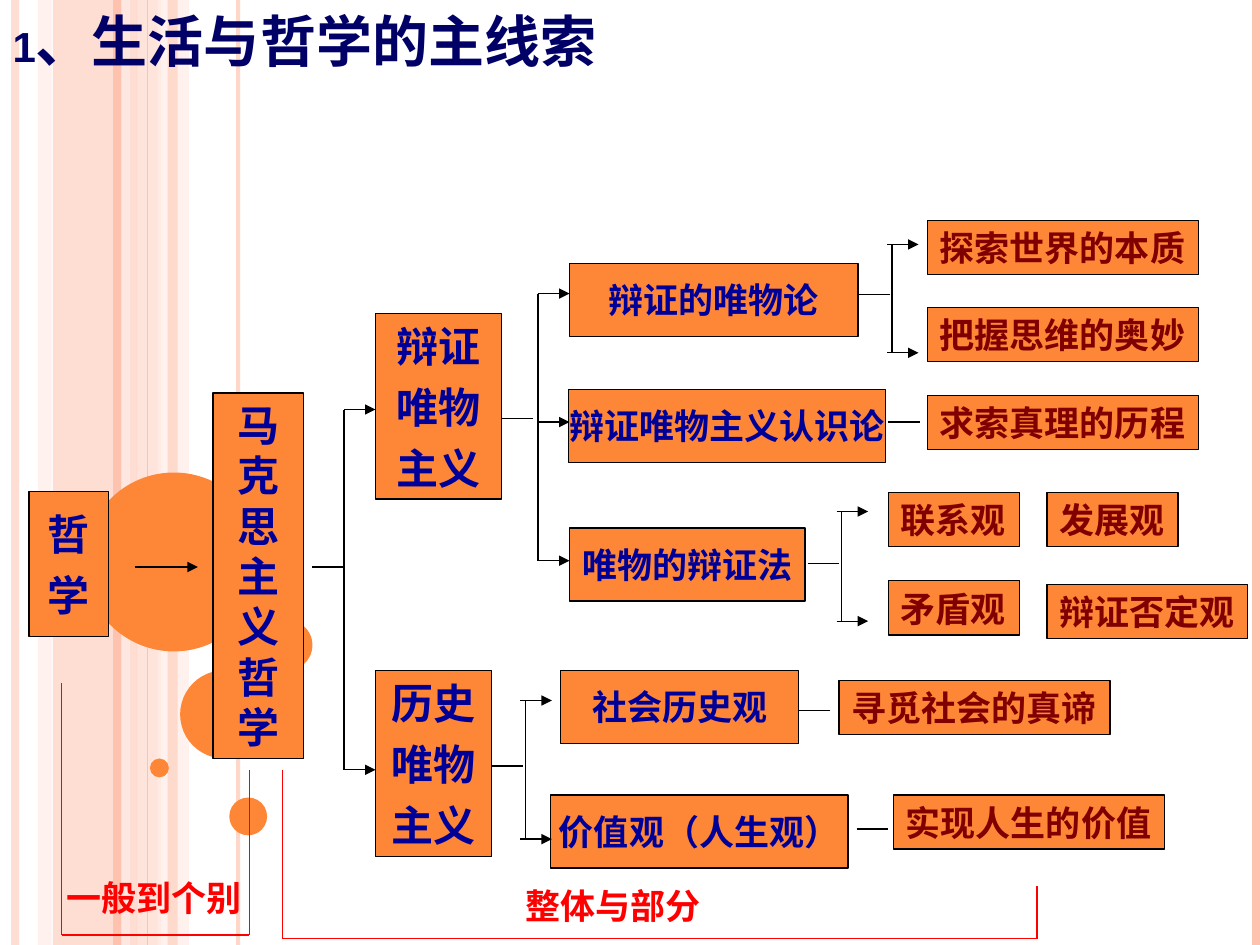
from dataclasses import dataclass

from lxml import etree
from pptx import Presentation
from pptx.dml.color import RGBColor
from pptx.enum.shapes import MSO_CONNECTOR, MSO_SHAPE
from pptx.enum.text import MSO_ANCHOR, MSO_AUTO_SIZE, PP_ALIGN
from pptx.oxml.ns import qn
from pptx.util import Inches, Pt

RECT, OVAL = MSO_SHAPE.RECTANGLE, MSO_SHAPE.OVAL
STRAIGHT = MSO_CONNECTOR.STRAIGHT
TOP, MIDDLE = MSO_ANCHOR.TOP, MSO_ANCHOR.MIDDLE
LEFT, CENTER = PP_ALIGN.LEFT, PP_ALIGN.CENTER
NO_FIT = MSO_AUTO_SIZE.NONE

SLIDE_W, SLIDE_H = 10, 7.5
LINK = 0.25


@dataclass(frozen=True)
class Theme:
    font: str = "Arial"
    cjk: str = "Noto Sans CJK SC"
    box: str = "FE8637"
    stripe: str = "FEC3AE"
    pale: str = "FFD9CE"
    faint: str = "FFEDE8"
    ink: str = "000000"
    title: str = "000066"
    concept: str = "000099"
    topic: str = "800000"
    note: str = "FF0000"
    title_pt: int = 32
    large_pt: int = 24
    body_pt: int = 20
    line_pt: float = 0.75


T = Theme()


@dataclass(frozen=True)
class Style:
    font: str
    color: str
    size: int
    align: PP_ALIGN = CENTER
    anchor: MSO_ANCHOR = MIDDLE
    before: int = 0
    wrap: bool = False


BRANCH = Style(T.cjk, T.concept, T.large_pt, before=6)
COLUMN = Style(T.cjk, T.concept, T.large_pt, anchor=TOP, wrap=True)
THEORY = Style(T.cjk, T.concept, T.body_pt)
TOPIC = Style(T.font, T.topic, T.body_pt, LEFT, TOP)
NOTE = Style(T.cjk, T.note, T.body_pt)


@dataclass(frozen=True)
class Box:
    text: str
    x: float
    y: float
    w: float
    h: float
    style: Style


@dataclass(frozen=True)
class Band:
    x: float
    w: float
    color: str
    opacity: int


@dataclass(frozen=True)
class Rule:
    x: float
    color: str
    width: float
    opacity: int = 100


@dataclass(frozen=True)
class Fork:
    stem_x: float
    stem_y: float
    trunk_x: float
    branch_x: float
    ys: tuple[float, ...]


BANDS = [Band(0.42, 0.67, T.stripe, 54), Band(0.3, 0.11, T.pale, 36),
         Band(1.08, 0.2, T.pale, 70), Band(1.25, 0.25, T.faint, 71)]
RULES = [Rule(0.12, T.stripe, 4.5, 54), Rule(1, T.faint, 4.5, 65),
         Rule(0.93, T.stripe, 4.5), Rule(1.89, T.stripe, 2.25, 65),
         Rule(1.17, T.stripe, 0.75), Rule(9.97, T.stripe, 4.5)]
TOP_BAND = Band(1.33, 0.08, T.stripe, 51)
BUBBLES = [(0.67, 3.75, 1.42), (1.43, 5.32, 0.7), (1.19, 6.02, 0.15),
           (1.82, 6.33, 0.3), (2.08, 4.92, 0.4)]

THEORY_H, TOPIC_H = 0.58, 0.43
BOXES = [
    Box("哲\n学", 0.23, 3.9, 0.63, 1.15, BRANCH),
    Box("马克思\n主义哲学", 1.69, 3.12, 0.72, 2.9, COLUMN),
    Box("辩证\n唯物\n主义", 2.98, 2.49, 1, 1.47, BRANCH),
    Box("历史\n唯物\n主义", 2.98, 5.32, 0.92, 1.48, BRANCH),
    Box("辩证的唯物论", 4.52, 2.09, 2.29, THEORY_H, THEORY),
    Box("唯物的辩证法", 4.52, 4.19, 1.87, THEORY_H, THEORY),
    Box("辩证唯物主义认识论", 4.51, 3.09, 2.52, THEORY_H, THEORY),
    Box("社会历史观", 4.45, 5.32, 1.89, THEORY_H, THEORY),
    Box("价值观（人生观）", 4.37, 6.31, 2.36, THEORY_H, THEORY),
    Box("探索世界的本质", 7.36, 1.75, 2.15, TOPIC_H, TOPIC),
    Box("把握思维的奥妙", 7.36, 2.44, 2.15, TOPIC_H, TOPIC),
    Box("求索真理的历程", 7.36, 3.14, 2.15, TOPIC_H, TOPIC),
    Box("联系观", 7.05, 3.91, 1.04, TOPIC_H, TOPIC),
    Box("发展观", 8.31, 3.91, 1.04, TOPIC_H, TOPIC),
    Box("矛盾观", 7.05, 4.61, 1.04, TOPIC_H, TOPIC),
    Box("辩证否定观", 8.31, 4.64, 1.59, TOPIC_H, TOPIC),
    Box("寻觅社会的真谛", 6.66, 5.4, 2.15, TOPIC_H, TOPIC),
    Box("实现人生的价值", 7.09, 6.31, 2.15, TOPIC_H, TOPIC),
]
NOTES = [Box("一般到个别", 0.31, 6.83, 1.83, THEORY_H, NOTE),
         Box("整体与部分", 3.95, 6.9, 1.83, THEORY_H, NOTE)]
FORKS = [Fork(2.48, 4.5, 2.73, 2.73, (3.25, 6.11)),
         Fork(3.98, 3.32, 4.27, 4.27, (2.33, 3.35, 4.45)),
         Fork(3.9, 6.08, 4.17, 4.13, (5.56, 6.66)),
         Fork(6.41, 4.47, 6.68, 6.64, (4.06, 4.93)),
         Fork(6.81, 2.34, 7.08, 7.04, (1.94, 2.8))]
LINKS = [(6.34, 5.64), (6.8, 6.58), (7.05, 3.35)]
BRACKETS = [[(0.49, 5.42), (0.49, 7.42), (1.98, 7.42), (1.98, 6.11)],
            [(2.24, 6.11), (2.24, 7.45), (8.23, 7.45), (8.23, 7.03)]]


def set_opacity(sp, percent: int) -> None:
    if percent < 100:
        color = next(sp.element.iter(qn("a:srgbClr")))
        etree.SubElement(color, qn("a:alpha"), val=str(percent * 1000))


def format_run(r, font: str, color: str, size: int) -> None:
    r.font.name = font
    r.font.size = Pt(size)
    r.font.bold = True
    r.font.color.rgb = RGBColor.from_string(color)
    etree.SubElement(r.font._element, qn("a:ea"), typeface=T.cjk)


def add_filled(s, kind, x: float, y: float, w: float, h: float, color: str):
    sp = s.shapes.add_shape(kind, Inches(x), Inches(y), Inches(w), Inches(h))
    sp.shadow.inherit = False
    sp.fill.solid()
    sp.fill.fore_color.rgb = RGBColor.from_string(color)
    sp.line.fill.background()
    return sp


def add_band(s, band: Band) -> None:
    set_opacity(add_filled(s, RECT, band.x, 0, band.w, SLIDE_H, band.color), band.opacity)


def add_line(s, start, end, color: str = T.ink, width: float = T.line_pt, arrow: bool = False):
    line = s.shapes.add_connector(STRAIGHT, *map(Inches, (*start, *end)))
    line.line.color.rgb = RGBColor.from_string(color)
    line.line.width = Pt(width)
    if arrow:
        etree.SubElement(line.line._get_or_add_ln(), qn("a:tailEnd"), type="triangle")
    etree.SubElement(line.element.spPr, qn("a:effectLst"))
    return line


def write_text(sp, text: str, style: Style) -> None:
    tf = sp.text_frame
    tf.text = text
    tf.word_wrap = style.wrap
    tf.vertical_anchor = style.anchor
    for i, p in enumerate(tf.paragraphs):
        p.alignment = style.align
        p.space_before = Pt(style.before if i else 0)
        format_run(p.runs[0], style.font, style.color, style.size)


def add_box(s, box: Box) -> None:
    sp = add_filled(s, RECT, box.x, box.y, box.w, box.h, T.box)
    sp.line.color.rgb = RGBColor.from_string(T.ink)
    sp.line.width = Pt(T.line_pt)
    write_text(sp, box.text, box.style)


def add_note(s, note: Box) -> None:
    sp = s.shapes.add_textbox(*map(Inches, (note.x, note.y, note.w, note.h)))
    write_text(sp, note.text, note.style)


def add_fork(s, fork: Fork) -> None:
    add_line(s, (fork.stem_x, fork.stem_y), (fork.stem_x + LINK, fork.stem_y))
    add_line(s, (fork.trunk_x, fork.ys[0]), (fork.trunk_x, fork.ys[-1]))
    for y in fork.ys:
        add_line(s, (fork.branch_x, y), (fork.branch_x + LINK, y), arrow=True)


def add_title(s) -> None:
    title = s.shapes.title
    title.left, title.top, title.width, title.height = map(Inches, (0, 0, SLIDE_W, 0.64))
    tf = title.text_frame
    tf.word_wrap = True
    tf.auto_size = NO_FIT
    tf.vertical_anchor = TOP
    p = tf.paragraphs[0]
    p.alignment = LEFT
    for text, size in (("1", T.large_pt), ("、生活与哲学的主线索", T.title_pt)):
        r = p.add_run()
        r.text = text
        format_run(r, T.font, T.title, size)
    title.element.getparent().append(title.element)


def main() -> None:
    prs = Presentation()
    prs.slide_width, prs.slide_height = Inches(SLIDE_W), Inches(SLIDE_H)
    s = prs.slides.add_slide(prs.slide_layouts[5])
    for band in BANDS:
        add_band(s, band)
    for rule in RULES:
        line = add_line(s, (rule.x, 0), (rule.x, SLIDE_H), rule.color, rule.width)
        set_opacity(line, rule.opacity)
    add_band(s, TOP_BAND)
    for x, y, size in BUBBLES:
        add_filled(s, OVAL, x, y, size, size, T.box)
    for box in BOXES:
        add_box(s, box)
    add_line(s, (1.07, 4.5), (1.57, 4.5), arrow=True)
    for fork in FORKS:
        add_fork(s, fork)
    for x, y in LINKS:
        add_line(s, (x, y), (x + LINK, y))
    for corners in BRACKETS:
        for start, end in zip(corners, corners[1:]):
            add_line(s, start, end, T.note)
    for note in NOTES:
        add_note(s, note)
    add_title(s)
    prs.save("out.pptx")


if __name__ == "__main__":
    main()
